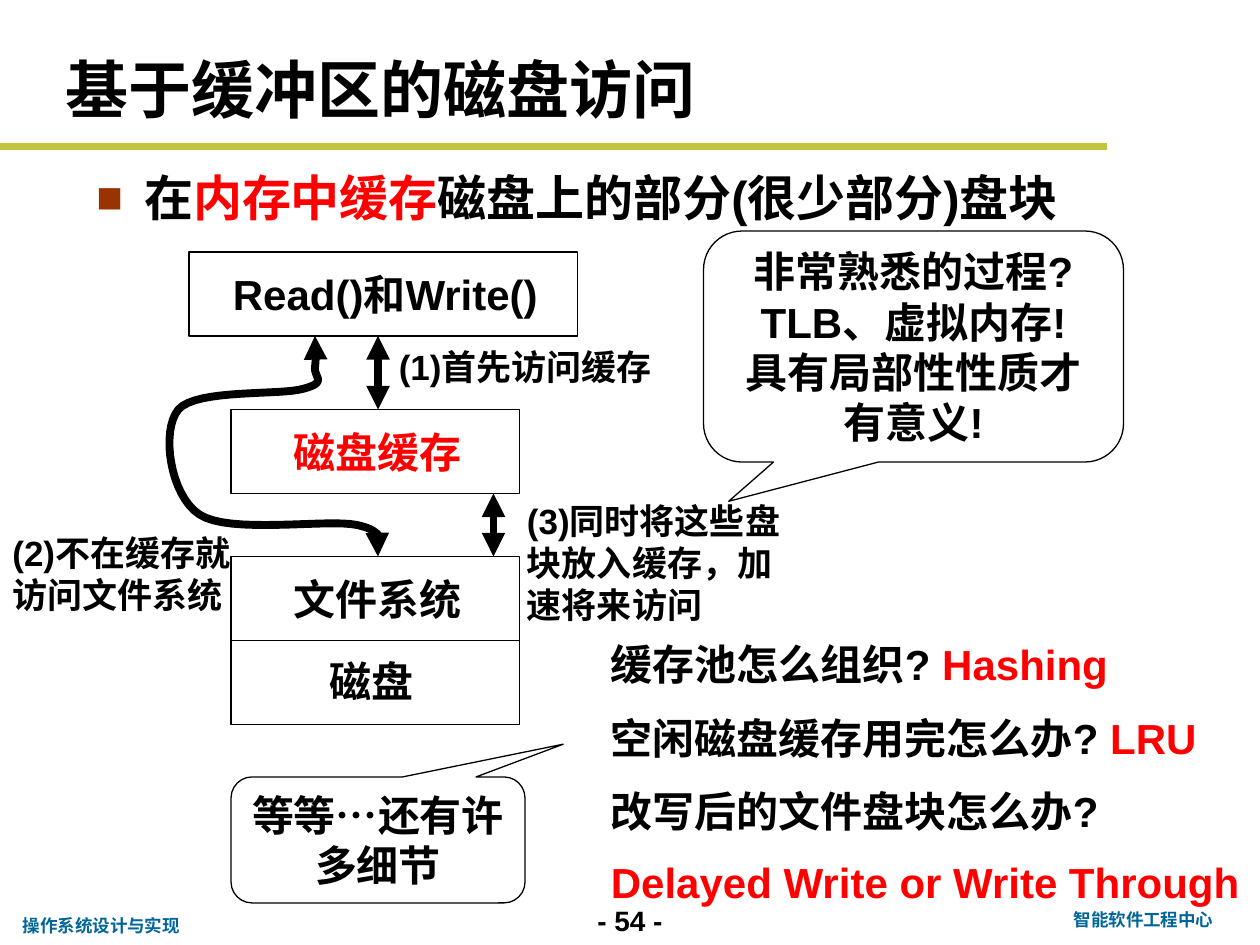
from lxml import etree
from pptx import Presentation
from pptx.dml.color import RGBColor
from pptx.enum.shapes import MSO_CONNECTOR, MSO_SHAPE
from pptx.enum.text import MSO_ANCHOR, PP_ALIGN
from pptx.oxml.ns import qn
from pptx.util import Inches, Pt

RECT, CALLOUT = MSO_SHAPE.RECTANGLE, MSO_SHAPE.ROUNDED_RECTANGULAR_CALLOUT
STRAIGHT = MSO_CONNECTOR.STRAIGHT
LEFT, CENTER = PP_ALIGN.LEFT, PP_ALIGN.CENTER
TOP, MIDDLE = MSO_ANCHOR.TOP, MSO_ANCHOR.MIDDLE
COLORS = {"ink": "000000", "key": "FF0000", "rule": "C1C43C",
          "footer": "006699", "bullet": "993300", "paper": "FFFFFF"}
COLS, ROWS = 120, 90


def rgb(name):
    return RGBColor.from_string(COLORS[name])


def bezier(p0, p1, p2, p3, steps=16):
    for i in range(1, steps + 1):
        t = i / steps
        u = 1 - t
        yield tuple(u**3 * a + 3 * u * u * t * b + 3 * u * t * t * c + t**3 * d
                    for a, b, c, d in zip(p0, p1, p2, p3))


class SlideBuilder:
    font = {"name": "Arial", "bold": True}

    def __init__(self, prs):
        self.unit_x = prs.slide_width / COLS
        self.unit_y = prs.slide_height / ROWS
        self.s = prs.slides.add_slide(prs.slide_layouts[5])

    def grid(self, *values):
        units = (self.unit_x, self.unit_y)
        return [int(v * units[i % 2]) for i, v in enumerate(values)]

    def fill_text(self, tf, paragraphs, size, align=LEFT, anchor=TOP, wrap=True,
                  spacing=None, name="Arial"):
        for key, value in {"word_wrap": wrap, "vertical_anchor": anchor}.items():
            setattr(tf, key, value)
        for i, runs in enumerate(paragraphs):
            p = tf.paragraphs[0] if i == 0 else tf.add_paragraph()
            for key, value in {"alignment": align, "line_spacing": spacing,
                               "space_before": Pt(0)}.items():
                setattr(p, key, value)
            for text, color in runs:
                r = p.add_run()
                r.text = text
                for key, value in {**self.font, "name": name, "size": Pt(size)}.items():
                    setattr(r.font, key, value)
                r.font.color.rgb = rgb(color)

    def title(self, text, box):
        sp = self.s.shapes.title
        sp.left, sp.top, sp.width, sp.height = self.grid(*box)
        self.fill_text(sp.text_frame, [[(text, "ink")]], 36, anchor=MIDDLE,
                       name="Times New Roman")

    def text(self, box, runs, size, margin=0, indent=0, bullet=None, **style):
        sp = self.s.shapes.add_textbox(*self.grid(*box))
        self.fill_text(sp.text_frame, [runs], size, **style)
        pPr = sp.text_frame.paragraphs[0]._p.get_or_add_pPr()
        if margin:
            pPr.set("marL", str(Inches(margin)))
            pPr.set("indent", str(Inches(indent)))
        if bullet:
            color = etree.SubElement(pPr, qn("a:buClr"))
            etree.SubElement(color, qn("a:srgbClr"), val=COLORS["bullet"])
            etree.SubElement(pPr, qn("a:buSzPct"), val="90000")
            etree.SubElement(pPr, qn("a:buFont"), typeface="Arial")
            etree.SubElement(pPr, qn("a:buChar"), char=bullet)

    def outline(self, sp, width, color="ink", arrows=False):
        sp.line.color.rgb = rgb(color)
        sp.line.width = Pt(width)
        if arrows:
            ln = sp._element.spPr.find(qn("a:ln"))
            for end in ("a:headEnd", "a:tailEnd"):
                etree.SubElement(ln, qn(end), type="triangle")

    def rect(self, box):
        sp = self.s.shapes.add_shape(RECT, *self.grid(*box))
        sp.shadow.inherit = False
        sp.fill.background()
        self.outline(sp, 0.75)

    def callout(self, box, tip, lines):
        sp = self.s.shapes.add_shape(CALLOUT, *self.grid(*box))
        sp.shadow.inherit = False
        sp.fill.solid()
        sp.fill.fore_color.rgb = rgb("paper")
        self.outline(sp, 0.75)
        sp.adjustments[0], sp.adjustments[1] = tip
        self.fill_text(sp.text_frame, [[(line, "ink")] for line in lines], 24,
                       align=CENTER, anchor=MIDDLE)

    def line(self, start, end, width=4.5, color="ink", arrows=True):
        sp = self.s.shapes.add_connector(STRAIGHT, *self.grid(*start, *end))
        self.outline(sp, width, color, arrows)
        etree.SubElement(sp._element.spPr, qn("a:effectLst"))

    def curve(self, start, segments):
        points, last = [], start
        for segment in segments:
            points += bezier(last, *segment)
            last = segment[-1]
        fb = self.s.shapes.build_freeform(*self.grid(*start))
        fb.add_line_segments([self.grid(*point) for point in points], close=False)
        sp = fb.convert_to_shape()
        sp.shadow.inherit = False
        sp.fill.background()
        self.outline(sp, 4.5, arrows=True)


def main():
    prs = Presentation()
    prs.slide_width, prs.slide_height = Inches(10), Inches(7.5)
    b = SlideBuilder(prs)

    b.line((0, 14), (105.4, 14), width=4, color="rule", arrows=False)
    b.text((54, 85.5, 12, 4.5), [("- 54 -", "ink")], 16, align=CENTER)
    b.text((99, 86, 19.8, 3.2), [("智能软件工程中心", "footer")], 10, align=CENTER)
    b.text((1, 86.6, 17.5, 3.2), [("操作系统设计与实现", "footer")], 10, wrap=False)
    b.title("基于缓冲区的磁盘访问", (5, 4, 103, 8.9))
    b.text((8, 13.7, 104, 11.4),
           [("在", "ink"), ("内存中缓存", "key"),
            ("磁盘上的部分(很少部分)盘块", "ink")],
           28, margin=0.38, indent=-0.38, bullet="■", spacing=1.3)

    layers = [
        ((18, 24, 37, 8), (21, 25, 35, 6), "Read()和Write()", "ink", LEFT),
        ((22, 39, 27.5, 8), (23, 40, 26, 6), "磁盘缓存", "key", CENTER),
        ((22, 53, 27.5, 8), (23, 54, 26, 6), "文件系统", "ink", CENTER),
        ((22, 61, 27.5, 8), (23.6, 61.8, 23.5, 6), "磁盘", "ink", CENTER),
    ]
    for frame, label, text, color, align in layers:
        b.rect(frame)
        b.text(label, [(text, color)], 24, align=align)

    b.line((36, 32), (36, 39))
    b.line((47, 47), (47, 53))
    b.curve((30, 32), [
        ((30.1, 33.1), (30.1, 34.2), (30, 35)),
        ((29.9, 35.9), (31.2, 36.4), (29, 37)),
        ((26.9, 37.7), (18.7, 37), (17, 39)),
        ((15.3, 41), (16.2, 47.2), (19, 49)),
        ((21.8, 50.9), (31.2, 49.4), (34, 50)),
        ((36.8, 50.6), (36.4, 51.8), (36, 53)),
    ])

    steps = [
        ((36.8, 32.3, 28.2, 5.2), "(1)首先访问缓存"),
        ((0, 50, 24, 9.2), "(2)不在缓存就访问文件系统"),
        ((49, 47, 28.2, 13.2), "(3)同时将这些盘块放入缓存，加速将来访问"),
    ]
    for box, text in steps:
        b.text(box, [(text, "ink")], 20)

    b.callout((67, 22, 40, 22), (-0.44, 0.67),
              ["非常熟悉的过程?", "TLB、虚拟内存!", "具有局部性性质才有意义!"])
    b.callout((22, 74, 28, 12), (0.63, -0.76), ["等等…还有许多细节"])

    questions = [
        ("缓存池怎么组织?", " Hashing", 8),
        ("空闲磁盘缓存用完怎么办?", " LRU", 8),
        ("改写后的文件盘块怎么办?", " Delayed Write or Write Through", 14.6),
    ]
    for i, (question, answer, height) in enumerate(questions):
        b.text((51, 58.3 + 7 * i, 69, height), [(question, "ink"), (answer, "key")],
               24, margin=0.5, spacing=1.4)

    prs.save("out.pptx")


if __name__ == "__main__":
    main()
